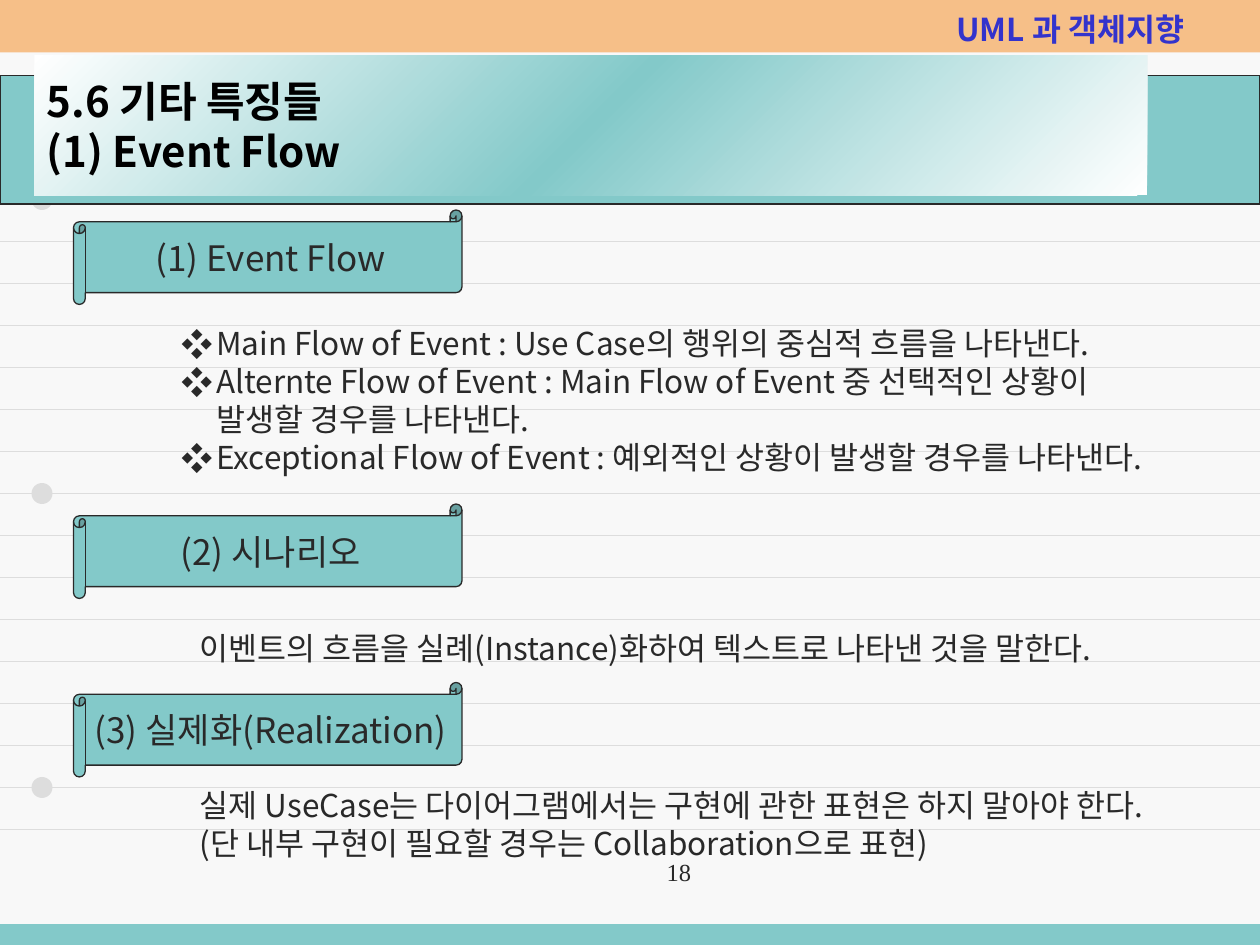
from copy import deepcopy

from lxml import etree
from pptx import Presentation
from pptx.dml.color import RGBColor
from pptx.enum.shapes import MSO_CONNECTOR, MSO_SHAPE
from pptx.enum.text import MSO_ANCHOR, PP_ALIGN
from pptx.oxml.ns import qn
from pptx.util import Pt

STRAIGHT = MSO_CONNECTOR.STRAIGHT
RECTANGLE, OVAL, SCROLL = MSO_SHAPE.RECTANGLE, MSO_SHAPE.OVAL, MSO_SHAPE.HORIZONTAL_SCROLL
TOP, MIDDLE = MSO_ANCHOR.TOP, MSO_ANCHOR.MIDDLE
LEFT, CENTER, RIGHT = PP_ALIGN.LEFT, PP_ALIGN.CENTER, PP_ALIGN.RIGHT

PAPER = RGBColor(0xF8, 0xF8, 0xF8)
RULE = RGBColor(0xDD, 0xDD, 0xDD)
TEAL = RGBColor(0x83, 0xC9, 0xC9)
ORANGE = RGBColor(0xF6, 0xBF, 0x88)
INK = RGBColor(0x29, 0x29, 0x29)
BLUE = RGBColor(0x33, 0x33, 0xCC)
BLACK = RGBColor(0, 0, 0)
WHITE = RGBColor(0xFF, 0xFF, 0xFF)

SANS, SERIF = "Noto Sans CJK KR", "Times New Roman"
WIDTH, HEIGHT = 720, 540
BULLET_INDENT = 20


def points(box):
    return [Pt(value) for value in box]


def add_box(slide, kind, box, fill=None, line=None):
    shape = slide.shapes.add_shape(kind, *points(box))
    shape.shadow.inherit = False
    if fill is not None:
        shape.fill.solid()
        shape.fill.fore_color.rgb = fill
    if line is None:
        shape.line.fill.background()
    else:
        shape.line.color.rgb = line
        shape.line.width = Pt(0.75)
    return shape


def add_run(paragraph, text, size, color, bold, font_name):
    run = paragraph.add_run()
    run.text = text
    font = run.font
    font.size, font.bold, font.name = Pt(size), bold, font_name
    font.color.rgb = color
    east_asian = etree.SubElement(run._r.get_or_add_rPr(), qn("a:ea"))
    east_asian.set("typeface", font_name)


def write(shape, lines, size, color=INK, bold=False, font_name=SANS,
          align=LEFT, anchor=TOP, wrap=False):
    """Write one paragraph per line and return the paragraphs."""
    frame = shape.text_frame
    frame.word_wrap = wrap
    frame.vertical_anchor = anchor
    for index, line in enumerate(lines):
        paragraph = frame.add_paragraph() if index else frame.paragraphs[0]
        paragraph.alignment = align
        add_run(paragraph, line, size, color, bold, font_name)
    return frame.paragraphs


def add_text(slide, box, lines, size=18, **style):
    return write(slide.shapes.add_textbox(*points(box)), lines, size, **style)


def indent(paragraph, bulleted):
    """Give the paragraph a hanging diamond bullet, or align it with bulleted text."""
    properties = paragraph._p.get_or_add_pPr()
    properties.set("marL", str(Pt(BULLET_INDENT)))
    properties.set("indent", str(Pt(-BULLET_INDENT if bulleted else 0)))
    if bulleted:
        color = etree.SubElement(properties, qn("a:buClr"))
        etree.SubElement(color, qn("a:srgbClr")).set("val", str(INK))
        etree.SubElement(properties, qn("a:buFont")).set("typeface", SANS)
        etree.SubElement(properties, qn("a:buChar")).set("char", "❖")


def add_ruled_paper(slide, left, top, width):
    for row in range(17):
        y = top + 24 * row
        rule = slide.shapes.add_connector(STRAIGHT, *points((left, y, left + width, y)))
        rule.line.color.rgb = RULE
        rule.line.width = Pt(0.5)
        etree.SubElement(rule._element.spPr, qn("a:effectLst"))
    for hole in range(3):
        add_box(slide, OVAL, (left + 18, top + 18 + 168 * hole, 12, 12), RULE)


def add_bands(slide, width, height):
    add_box(slide, RECTANGLE, (0, height - 12, width, 12), TEAL)
    add_box(slide, RECTANGLE, (0, 0, width, 30), ORANGE)
    add_box(slide, RECTANGLE, (0, 43.2, width, 73.4), TEAL, INK)
    add_text(slide, (539.5, 2.2, 175, 28), ["UML 과 객체지향"], color=BLUE, bold=True)


def add_title(slide, box, first_line, second_line):
    shape = add_box(slide, RECTANGLE, box)
    shape.fill.gradient()
    shape.fill.gradient_angle = 315
    stop_list = shape._element.spPr.find(qn("a:gradFill")).find(qn("a:gsLst"))
    stop_list.append(deepcopy(stop_list[-1]))
    for stop, color, position in zip(shape.fill.gradient_stops,
                                     (WHITE, TEAL, WHITE), (0, 0.5, 1)):
        stop.color.rgb = color
        stop.position = position
    style = (24, BLACK, True, SANS)
    paragraph = write(shape, [first_line], *style, anchor=MIDDLE, wrap=True)[0]
    paragraph.add_line_break()
    add_run(paragraph, second_line, *style)


def add_scroll(slide, top, heading):
    scroll = add_box(slide, SCROLL, (42, top, 222, 54), TEAL, INK)
    write(scroll, [heading], 20, align=CENTER, anchor=MIDDLE)


def add_event_flows(slide, box):
    lines = [
        ("Main Flow of Event : Use Case의 행위의 중심적 흐름을 나타낸다.", True),
        ("Alternte Flow of Event : Main Flow of Event 중 선택적인 상황이", True),
        ("발생할 경우를 나타낸다.", False),
        ("Exceptional Flow of Event : 예외적인 상황이 발생할 경우를 나타낸다.", True),
    ]
    paragraphs = add_text(slide, box, [text for text, _ in lines])
    for paragraph, (_, bulleted) in zip(paragraphs, lines):
        indent(paragraph, bulleted)


def main():
    presentation = Presentation()
    presentation.slide_width, presentation.slide_height = Pt(WIDTH), Pt(HEIGHT)
    slide = presentation.slides.add_slide(presentation.slide_layouts[6])
    slide.background.fill.solid()
    slide.background.fill.fore_color.rgb = PAPER

    add_ruled_paper(slide, 0, 90, WIDTH)
    add_bands(slide, WIDTH, HEIGHT)
    add_title(slide, (19.6, 31.7, 636, 80), "5.6 기타 특징들", "(1) Event Flow")

    add_scroll(slide, 120, "(1) Event Flow")
    add_event_flows(slide, (96.4, 181.8, 610, 93.6))
    add_scroll(slide, 288, "(2) 시나리오")
    add_text(slide, (107, 355.7, 600, 28.8),
             ["이벤트의 흐름을 실례(Instance)화하여 텍스트로 나타낸 것을 말한다."])
    add_scroll(slide, 390, "(3) 실제화(Realization)")
    add_text(slide, (107, 445.7, 600, 50.4),
             ["실제 UseCase는 다이어그램에서는 구현에 관한 표현은 하지 말아야 한다.",
              "(단 내부 구현이 필요할 경우는 Collaboration으로 표현)"])
    add_text(slide, (234, 486, 168, 37.4), ["18"], size=14,
             font_name=SERIF, align=RIGHT, wrap=True)
    presentation.save("out.pptx")


if __name__ == "__main__":
    main()
